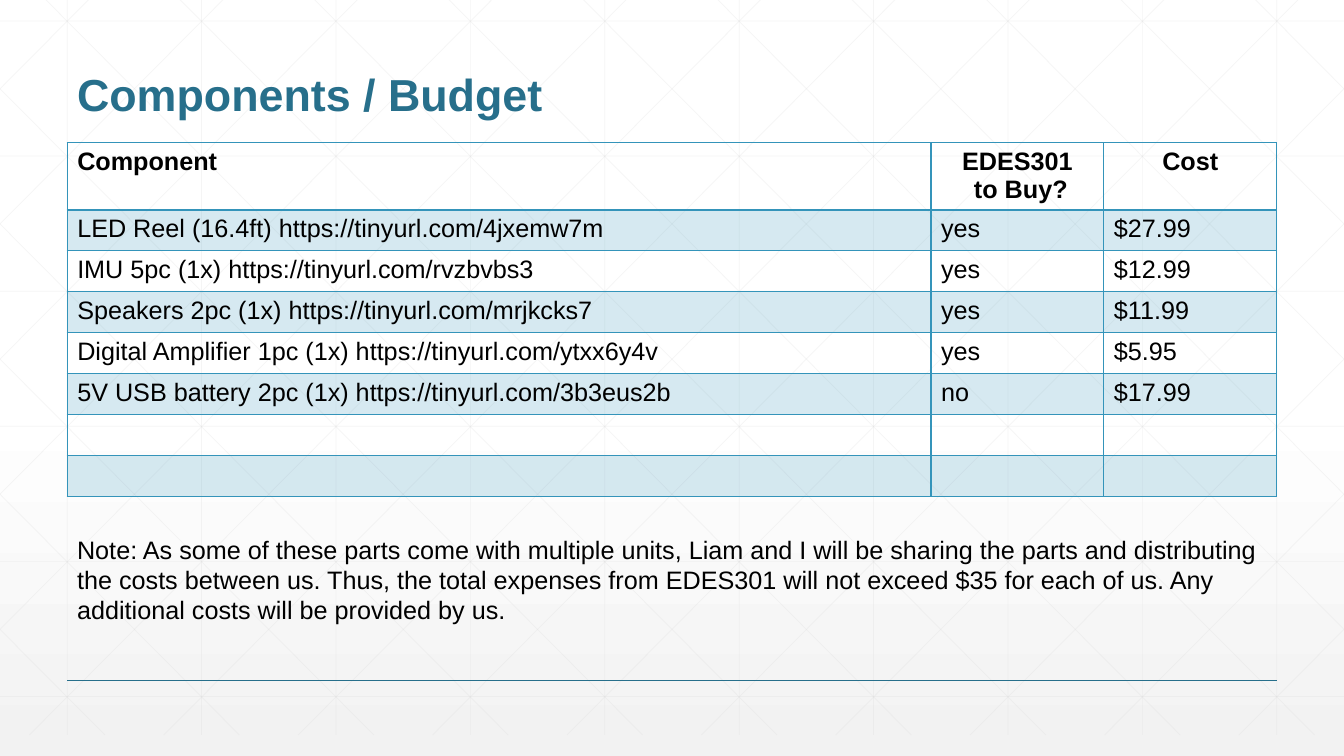
from typing import Any, NamedTuple

import lxml.etree
import pptx
import pptx.dml.color
import pptx.enum.shapes
import pptx.enum.text
import pptx.oxml
import pptx.oxml.ns
import pptx.util

Pt = pptx.util.Pt
qn = pptx.oxml.ns.qn
ALIGN = pptx.enum.text.PP_ALIGN
ANCHOR = pptx.enum.text.MSO_ANCHOR

COLORS = {
    "grid": "D9D9D9",
    "title": "276F8B",
    "accent": "3494BA",
    "text": "000000",
    "top": "FFFFFF",
    "foot": "F2F2F2",
}
FONT = "Arial"
WIDE, HIGH = 960, 540
LEFT, SPAN = 48, 864
TOP, END = -15, 525  # vertical reach of the grid
STEP, RUN = 96, 537  # column pitch, sideways reach of a diagonal
RISE = (END - TOP) / RUN


class Line(NamedTuple):
    x1: float
    y1: float
    x2: float
    y2: float
    color: str = "grid"
    width: float = 0.5
    alpha: int = 25


class Label(NamedTuple):
    text: str
    top: float
    height: float
    size: float
    color: str
    bold: bool = False
    anchor: Any = ANCHOR.TOP
    space: float = 1.0


class Part(NamedTuple):
    name: str = ""
    buy: str = ""
    cost: str = ""


HEAD = Part("Component", "EDES301\n to Buy?", "Cost")
PARTS = [
    Part("LED Reel (16.4ft) https://tinyurl.com/4jxemw7m", "yes", "$27.99"),
    Part("IMU 5pc (1x) https://tinyurl.com/rvzbvbs3", "yes", "$12.99"),
    Part("Speakers 2pc (1x) https://tinyurl.com/mrjkcks7", "yes", "$11.99"),
    Part("Digital Amplifier 1pc (1x) https://tinyurl.com/ytxx6y4v", "yes", "$5.95"),
    Part("5V USB battery 2pc (1x) https://tinyurl.com/3b3eus2b", "no", "$17.99"),
    Part(),
    Part(),
]
LABELS = [
    Label("Components / Budget", 18, 72, 32, "title", True, ANCHOR.BOTTOM, 0.9),
    Label(
        "Note: As some of these parts come with multiple units, Liam and I will be "
        "sharing the parts and distributing the costs between us. Thus, the total "
        "expenses from EDES301 will not exceed $35 for each of us. Any additional "
        "costs will be provided by us.",
        378, 72.7, 18, "text",
    ),
]


def rgb(name: str) -> pptx.dml.color.RGBColor:
    return pptx.dml.color.RGBColor.from_string(COLORS[name])


def fade(node: Any, alpha: int) -> None:
    """Make the first colour below node partly clear."""
    color = next(node.iter(qn("a:srgbClr")))
    lxml.etree.SubElement(color, qn("a:alpha"), val=str(alpha * 1000))


def style(frame: Any, size: float, color: str, bold: bool) -> None:
    for para in frame.paragraphs:
        for run in para.runs:
            run.font.name, run.font.size = FONT, Pt(size)
            run.font.bold, run.font.color.rgb = bold, rgb(color)


def paint(slide: Any) -> None:
    fill = slide.background.fill
    fill.gradient()
    fill.gradient_angle = 270
    stops = slide.background._cSld.find(".//" + qn("a:gsLst"))
    stops.clear()
    for pos, name in ((0, "top"), (53, "top"), (100, "foot")):
        stop = lxml.etree.SubElement(stops, qn("a:gs"), pos=str(pos * 1000))
        lxml.etree.SubElement(stop, qn("a:srgbClr"), val=COLORS[name])
    fade(stops[-1], 65)


def grid() -> list[Line]:
    lines = [Line(LEFT + STEP * i, TOP, LEFT + STEP * i, END) for i in range(10)]
    lines += [Line(0, 15 + 96.5 * i, WIDE, 15 + 96.5 * i) for i in range(6)]
    # Diagonals are cut at the slide's sides, then mirrored
    for i in range(-5, 10):
        start = 18 + STEP * i
        x1, x2 = max(start, 0), min(start + RUN, WIDE)
        y1, y2 = (TOP + (x - start) * RISE for x in (x1, x2))
        lines += [Line(x1, y1, x2, y2), Line(WIDE - x1, y1, WIDE - x2, y2)]
    return lines


def draw(slide: Any, line: Line) -> None:
    rule = slide.shapes.add_connector(
        pptx.enum.shapes.MSO_CONNECTOR.STRAIGHT,
        Pt(line.x1), Pt(line.y1), Pt(line.x2), Pt(line.y2),
    )
    rule.line.color.rgb, rule.line.width = rgb(line.color), Pt(line.width)
    if line.alpha < 100:
        fade(rule.element, line.alpha)
    lxml.etree.SubElement(rule.element.spPr, qn("a:effectLst"))


def write(slide: Any, label: Label) -> None:
    box = slide.shapes.add_textbox(Pt(LEFT), Pt(label.top), Pt(SPAN), Pt(label.height))
    frame = box.text_frame
    frame.word_wrap, frame.vertical_anchor = True, label.anchor
    frame.text = label.text
    frame.paragraphs[0].line_spacing = label.space
    style(frame, label.size, label.color, label.bold)


def edge(cell: Any, row: int) -> None:
    props = cell._tc.get_or_add_tcPr()
    thick = {"T": row == 1, "B": row == 0}
    for side in "LRTB":
        width = Pt(2 if thick.get(side) else 1)
        line = lxml.etree.SubElement(props, qn("a:ln" + side), w=str(width))
        fill = lxml.etree.SubElement(line, qn("a:solidFill"))
        lxml.etree.SubElement(fill, qn("a:srgbClr"), val=COLORS["accent"])


def tint(cell: Any, band: bool) -> None:
    if not band:
        cell.fill.background()
        return
    cell.fill.solid()
    cell.fill.fore_color.rgb = rgb("accent")
    fade(cell._tc.tcPr.find(qn("a:solidFill")), 20)


def tabulate(slide: Any, parts: list[Part]) -> None:
    table = slide.shapes.add_table(
        len(parts), 3, Pt(LEFT), Pt(102), Pt(SPAN), Pt(252.4)
    ).table
    table.horz_banding = False
    for col, width in zip(table.columns, (617, 123.5, 123.5)):
        col.width = Pt(width)
    for r, part in enumerate(parts):
        table.rows[r].height = Pt(29.2 if r else 48)
        for c, text in enumerate(part):
            cell = table.cell(r, c)
            edge(cell, r)
            tint(cell, r % 2 == 1)
            cell.text_frame.text = text
            style(cell.text_frame, 18, "text", r == 0)
            if r == 0 and c > 0:
                for para in cell.text_frame.paragraphs:
                    para.alignment = ALIGN.CENTER


def main() -> None:
    deck = pptx.Presentation()
    deck.slide_width, deck.slide_height = Pt(WIDE), Pt(HIGH)
    slide = deck.slides.add_slide(deck.slide_layouts[6])

    # Backdrop and foot rule
    paint(slide)
    for line in grid() + [Line(LEFT, 486, LEFT + SPAN, 486, "title", 1, 100)]:
        draw(slide, line)

    # Title, budget table and note
    tabulate(slide, [HEAD] + PARTS)
    for label in LABELS:
        write(slide, label)

    deck.save("out.pptx")


if __name__ == "__main__":
    main()
